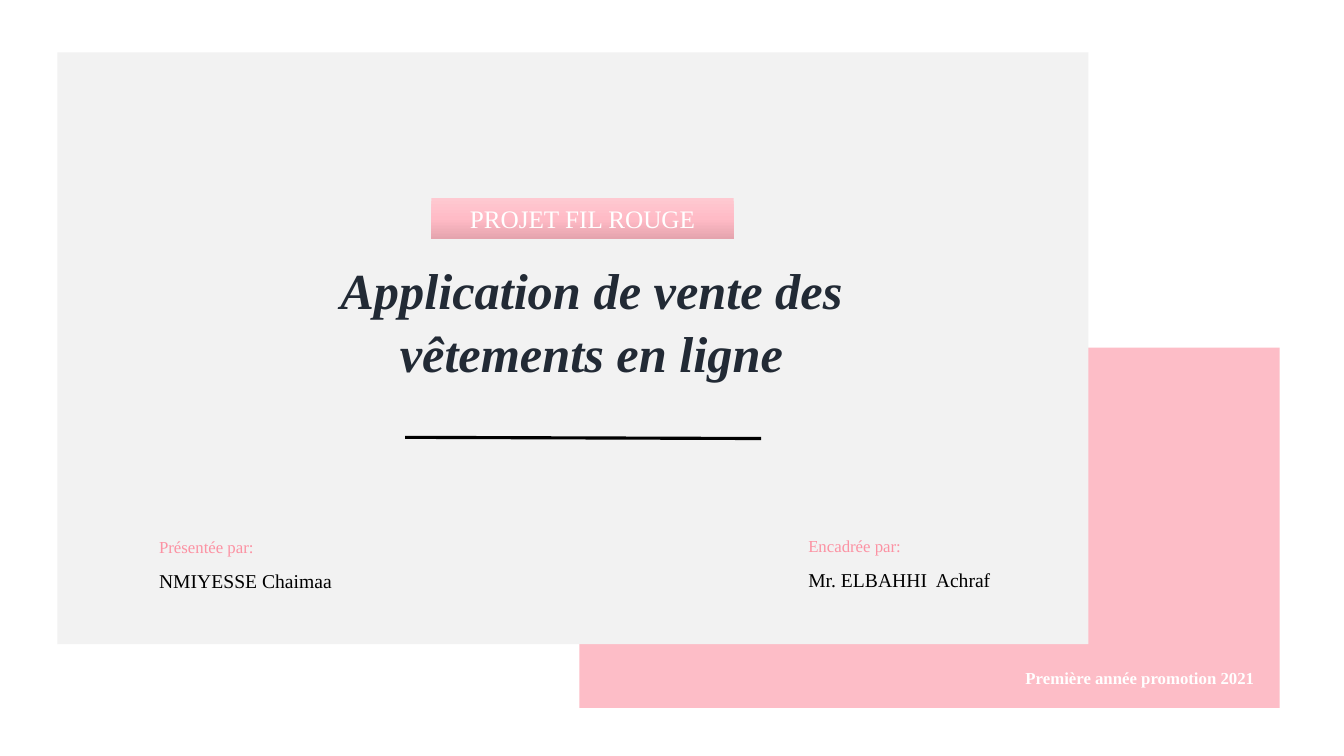
import copy

import pptx
import pptx.dml.color
import pptx.enum.shapes
import pptx.enum.text
import pptx.oxml.ns
import pptx.util
from pptx.util import Cm

FONT = "Times New Roman"
PINK, PANEL, WHITE, BLACK = "FDBDC7", "F2F2F2", "FFFFFF", "000000"
LABEL, NAVY = "FC92A3", "222A35"
CENTER = pptx.enum.text.PP_ALIGN.CENTER
LEFT = pptx.enum.text.PP_ALIGN.LEFT


def rgb(color):
    """Turn a hex string into a colour."""
    return pptx.dml.color.RGBColor.from_string(color)


def write(p, text, size=12, color=BLACK, bold=False, italic=False, align=LEFT, spacing=1.0):
    """Put one formatted run into a paragraph."""
    p.alignment = align
    p.line_spacing = spacing
    r = p.add_run()
    r.text = text
    r.font.name = FONT
    r.font.size = pptx.util.Pt(size)
    r.font.bold = bold
    r.font.italic = italic
    r.font.color.rgb = rgb(color)


def set_frame(sp, anchor=pptx.enum.text.MSO_ANCHOR.TOP):
    """Prepare a wrapping text frame of fixed size."""
    tf = sp.text_frame
    tf.word_wrap = True
    tf.auto_size = pptx.enum.text.MSO_AUTO_SIZE.NONE
    tf.vertical_anchor = anchor
    return tf


def add_rect(s, x, y, w, h, color):
    """Draw a plain rectangle without outline."""
    sp = s.shapes.add_shape(pptx.enum.shapes.MSO_SHAPE.RECTANGLE, Cm(x), Cm(y), Cm(w), Cm(h))
    sp.shadow.inherit = False
    sp.line.fill.background()
    sp.fill.solid()
    sp.fill.fore_color.rgb = rgb(color)
    return sp


def add_text(s, x, y, w, h):
    """Add a text box and return its frame."""
    return set_frame(s.shapes.add_textbox(Cm(x), Cm(y), Cm(w), Cm(h)))


def set_title(s, text, x, y, w, h):
    """Place the title in front of the panels."""
    sp = s.shapes.title
    sp.element.getparent().append(sp.element)
    sp.left, sp.top, sp.width, sp.height = Cm(x), Cm(y), Cm(w), Cm(h)
    write(set_frame(sp).paragraphs[0], text, size=36, color=NAVY, bold=True,
          italic=True, align=CENTER, spacing=1.05)


def add_person(s, x, y, label, name):
    """Add a role label with the name under it."""
    tf = add_text(s, x, y, 8, 1.8)
    write(tf.paragraphs[0], label, color=LABEL, spacing=1.5)
    write(tf.add_paragraph(), name, size=14, spacing=1.5)


def add_badge(s, text, x, y, w, h, colors):
    """Add a rectangle with an even vertical gradient and a caption."""
    sp = add_rect(s, x, y, w, h, colors[0])
    sp.fill.gradient()
    sp.fill.gradient_angle = 270
    stops = sp.element.spPr.find(".//" + pptx.oxml.ns.qn("a:gsLst"))
    while len(stops) < len(colors):
        stops.append(copy.deepcopy(stops[0]))
    for i, (stop, color) in enumerate(zip(sp.fill.gradient_stops, colors)):
        stop.position = i / (len(colors) - 1)
        stop.color.rgb = rgb(color)
    tf = set_frame(sp, pptx.enum.text.MSO_ANCHOR.MIDDLE)
    write(tf.paragraphs[0], text, size=18, color=WHITE, align=CENTER)


def add_rule(s, x1, y1, x2, y2):
    """Draw a black line."""
    line = s.shapes.add_connector(pptx.enum.shapes.MSO_CONNECTOR.STRAIGHT,
                                  Cm(x1), Cm(y1), Cm(x2), Cm(y2))
    line.line.color.rgb = rgb(BLACK)
    line.line.width = pptx.util.Pt(2.25)
    line.element.spPr.append(pptx.oxml.parse_xml(
        "<a:effectLst %s/>" % pptx.oxml.ns.nsdecls("a")))


def main():
    """Build the cover slide."""
    prs = pptx.Presentation()
    prs.slide_width, prs.slide_height = Cm(33.87), Cm(19.05)
    s = prs.slides.add_slide(prs.slide_layouts[5])
    add_rect(s, 14.6, 8.76, 17.65, 9.08, PINK)
    add_rect(s, 1.45, 1.32, 25.98, 14.91, PANEL)
    set_title(s, "Application de vente des vêtements en ligne", 7.19, 6.32, 15.44, 3.33)
    add_person(s, 20.12, 13.13, "Encadrée par:", "Mr. ELBAHHI  Achraf")
    add_person(s, 3.76, 13.15, "Présentée par:", "NMIYESSE Chaimaa")
    add_badge(s, "PROJET FIL ROUGE", 10.87, 5, 7.62, 1.02, ["FEC9D1", "FFBBC6", "E5A4AE"])
    tf = add_text(s, 23.88, 16.71, 9.7, 0.76)
    write(tf.paragraphs[0], "Première année promotion 2021", color=WHITE, bold=True, align=CENTER)
    add_rule(s, 10.21, 11.02, 19.18, 11.05)
    prs.save("out.pptx")


if __name__ == "__main__":
    main()
